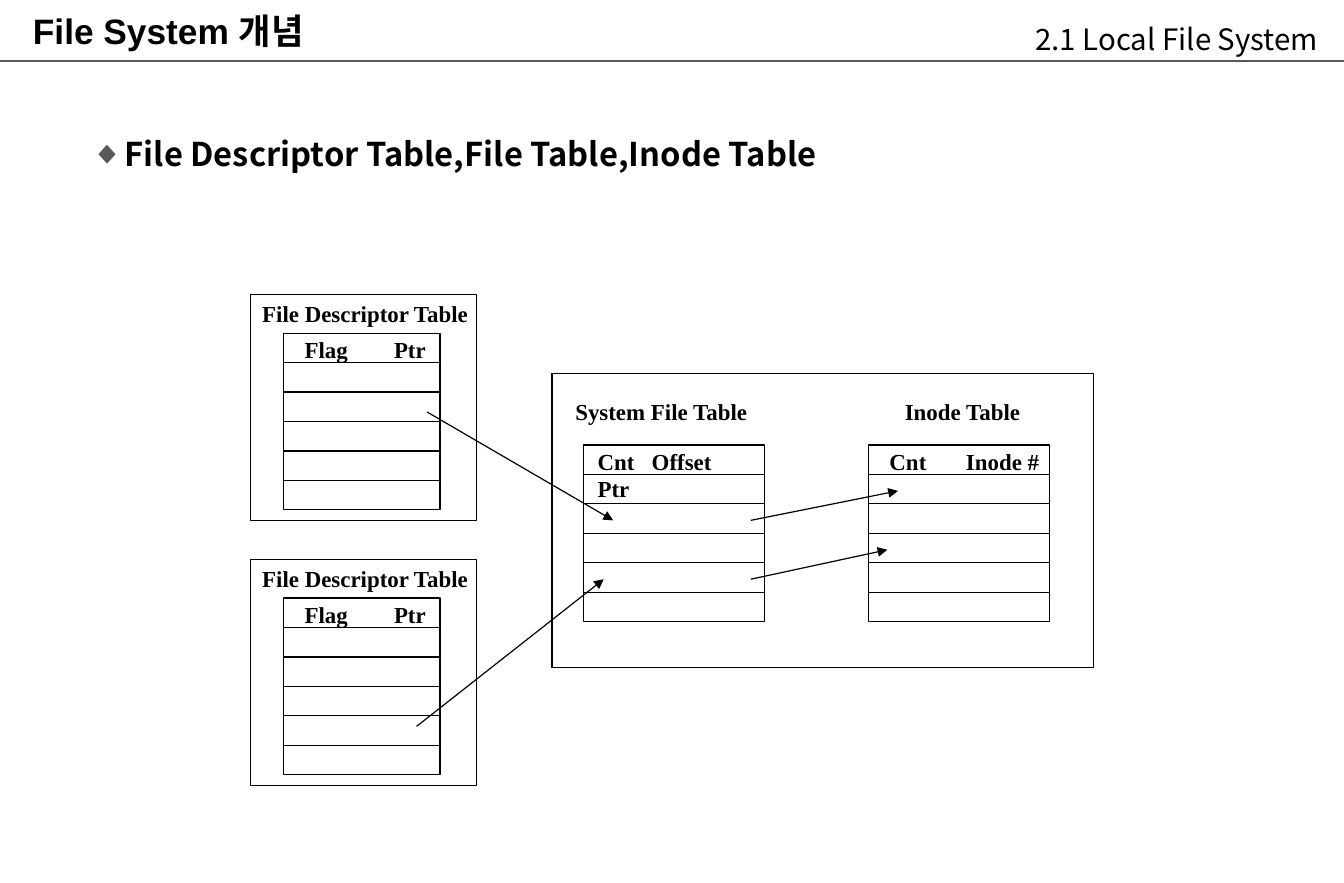
from lxml.etree import SubElement
from pptx import Presentation
from pptx.dml.color import RGBColor
from pptx.enum.shapes import MSO_CONNECTOR as LINE, MSO_SHAPE as SHAPE
from pptx.enum.text import MSO_ANCHOR as ANCHOR, MSO_AUTO_SIZE as FIT, PP_ALIGN as ALIGN
from pptx.oxml.ns import qn
from pptx.util import Inches, Pt

COLORS = {"ink": "000000", "rule": "595959"}
WIDTH, HEIGHT = 11.42, 7.5
ROW, ROW_COUNT = 0.25, 6
CAPTION_HEIGHT = 0.33

deck = Presentation()
deck.slide_width, deck.slide_height = Inches(WIDTH), Inches(HEIGHT)
slide = deck.slides.add_slide(deck.slide_layouts[1])


def write(frame, lines, size, face, bold=True, tab=None):
    frame.auto_size = FIT.NONE
    frame.word_wrap = True
    frame.margin_right = 0
    frame.text = "\n".join(lines)
    for paragraph in frame.paragraphs:
        paragraph.alignment = ALIGN.LEFT
        font = paragraph.font
        font.size, font.name, font.bold = Pt(size), face, bold
        font.color.rgb = RGBColor.from_string(COLORS["ink"])
        if tab:
            tabs = paragraph._p.makeelement(qn("a:tabLst"))
            SubElement(tabs, qn("a:tab"), pos=str(Inches(tab)), algn="l")
            paragraph._p.pPr.insert(0, tabs)


def connect(start, end, color, weight, arrow):
    ends = [Inches(value) for value in (*start, *end)]
    link = slide.shapes.add_connector(LINE.STRAIGHT, *ends)
    link.line.color.rgb = RGBColor.from_string(COLORS[color])
    link.line.width = Pt(weight)
    if arrow:
        SubElement(link.line._get_or_add_ln(), qn("a:tailEnd"), type="triangle")
    SubElement(link._element.spPr, qn("a:effectLst"))


# Header
connect((0, 0.52), (WIDTH, 0.52), "rule", 1.5, False)
heading = slide.shapes.title
heading.left, heading.top, heading.width, heading.height = map(Inches, (0.18, 0.04, 4.88, 0.43))
heading.text_frame.vertical_anchor = ANCHOR.MIDDLE
write(heading.text_frame, ["File System 개념"], 21.6, "Arial")
section = slide.shapes.add_textbox(*map(Inches, (8.7, 0.13, 2.7, 0.52)))
write(section.text_frame, ["2.1 Local File System"], 18, "Noto Sans CJK KR", bold=False)

# Topic with a diamond bullet
topic = slide.placeholders[1]
topic.left, topic.top, topic.width, topic.height = map(Inches, (0.67, 1.1, 8.5, 4.5))
write(topic.text_frame, ["File Descriptor Table,File Table,Inode Table"], 20, "Noto Sans CJK KR")
topic_line = topic.text_frame.paragraphs[0]
topic_line.line_spacing = 0.99
topic_format = topic_line._p.pPr
topic_format.set("marL", str(Inches(0.29)))
topic_format.set("indent", str(-Inches(0.29)))
bullet_color = topic_format.makeelement(qn("a:buClr"))
SubElement(bullet_color, qn("a:srgbClr"), val=COLORS["rule"])
bullet = topic_format.makeelement(qn("a:buChar"), char="◆")
topic_format.find(qn("a:defRPr")).addprevious(bullet_color)
bullet_color.addnext(bullet)

# Panels: frame, then tables as (left, top, width, columns, columns left, tab, name, name left, name top)
descriptor_panels = [
    ((2.13, top, 1.92, 1.92),
     [(2.41, top + 0.33, 1.33, ["Flag\tPtr"], 2.49, 0.76, "File Descriptor Table", 2.13, top)])
    for top in (2.5, 4.75)
]
system_panel = (
    (4.69, 3.17, 4.6, 2.5),
    [(4.96, 3.78, 1.54, ["Cnt\tOffset", "Ptr"], 4.98, 0.46, "System File Table", 4.79, 3.33),
     (7.38, 3.78, 1.54, ["Cnt\tInode #"], 7.46, 0.65, "Inode Table", 7.59, 3.33)],
)
for frame, tables in [system_panel, *descriptor_panels]:
    panel = slide.shapes.add_group_shape().shapes
    boxes = [frame]
    for left, top, width, *_ in tables:
        boxes += [(left, top + row * ROW, width, ROW) for row in range(ROW_COUNT)]
    for box in boxes:
        outline = panel.add_shape(SHAPE.RECTANGLE, *map(Inches, box))
        outline.shadow.inherit = False
        outline.fill.background()
        outline.line.color.rgb = RGBColor.from_string(COLORS["ink"])
        outline.line.width = Pt(0.75)
    for left, top, width, columns, columns_left, tab, name, name_left, name_top in tables:
        for lines, x, y, span, stop in (
            (columns, columns_left, top - 0.03, width, tab),
            ([name], name_left, name_top, width + 0.6, None),
        ):
            caption = panel.add_textbox(*map(Inches, (x, y, span, CAPTION_HEIGHT)))
            write(caption.text_frame, lines, 14, "Times New Roman", tab=stop)

# Pointers between the tables
for start, end in [
    ((3.63, 3.5), (5.21, 4.42)),
    ((3.54, 6.17), (5.13, 4.92)),
    ((6.38, 4.42), (7.63, 4.17)),
    ((6.38, 4.92), (7.54, 4.67)),
]:
    connect(start, end, "ink", 0.75, True)

deck.save("out.pptx")
